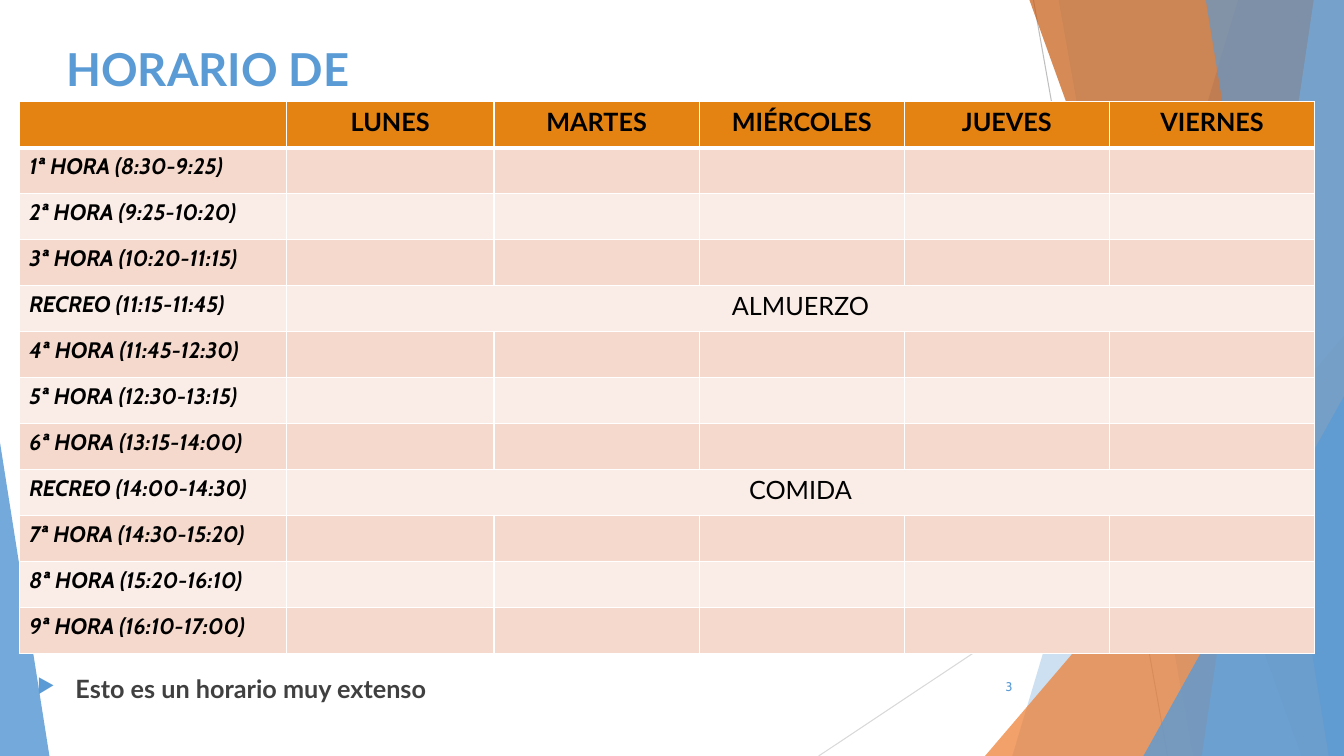
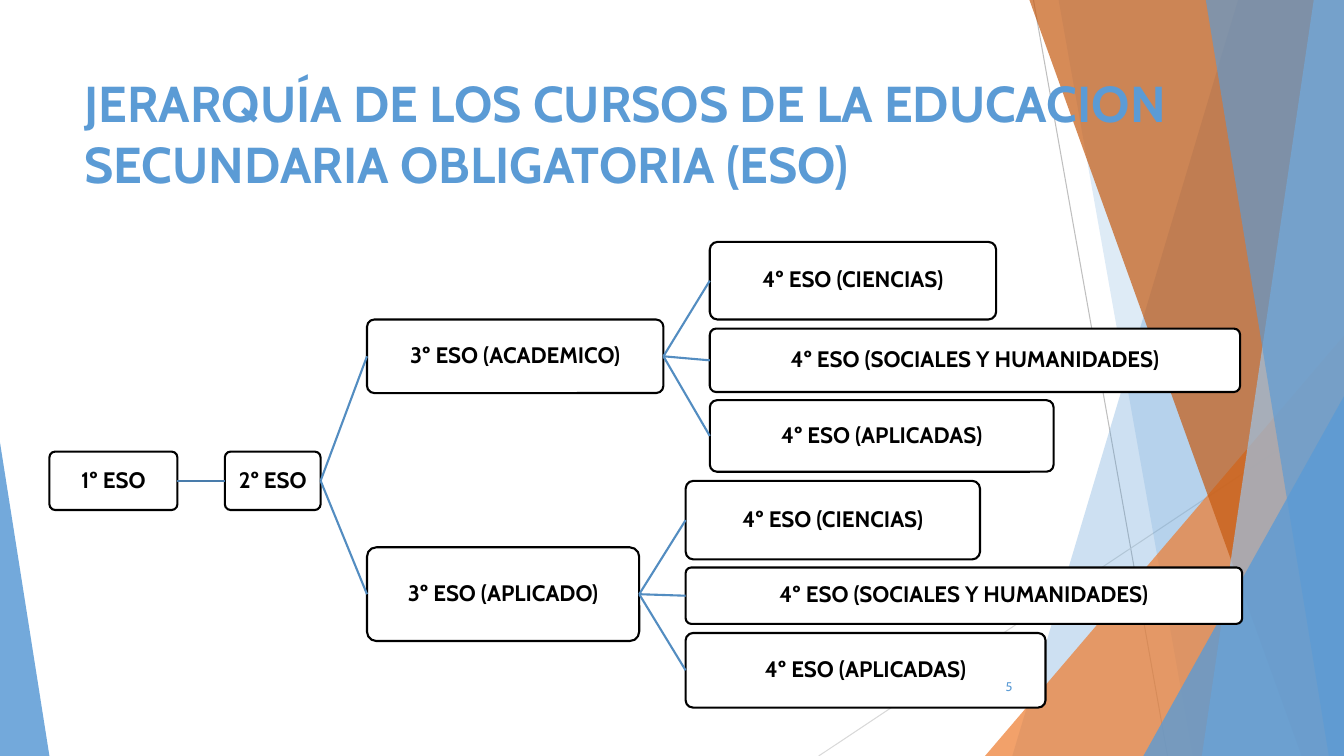
from lxml import etree
from pptx import Presentation, util as u
from pptx.dml.color import RGBColor
from pptx.enum import shapes, text
from pptx.oxml import ns

COLORS = {
    "blue": "5B9BD5", "pale_blue": "9DC3E6", "orange": "ED7D31", "rust": "C55A11",
    "gray": "BFBFBF", "light_gray": "D9D9D9", "dark_gray": "404040",
    "black": "000000", "white": "FFFFFF",
    "header": "E48312", "band_dark": "F5D9CC", "band_light": "FAEDE7",
    "root_link": "497CAB", "link": "538DC1",
}

STYLES = {
    "title_lato": ({"name": "Lato", "size": u.Pt(32.4), "bold": True}, "blue"),
    "title_cabin": ({"name": "Cabin", "size": u.Pt(36), "bold": True}, "blue"),
    "day": ({"name": "Lato", "size": u.Pt(18), "bold": True}, "black"),
    "hour": ({"name": "Cabin", "size": u.Pt(16), "bold": True, "italic": True}, "black"),
    "meal": ({"name": "Lato", "size": u.Pt(18), "bold": False}, "black"),
    "bullet": ({"name": "Lato", "size": u.Pt(18), "bold": True}, "dark_gray"),
    "course": ({"name": "Cabin", "size": u.Pt(16), "bold": True}, "black"),
    "number": ({"name": "Cabin", "size": u.Pt(9), "bold": False}, "blue"),
}

WIDTH, HEIGHT = 13.33, 7.5
THIN_LINES = [
    ((10.25, 0), (11.58, HEIGHT), "gray"),
    ((WIDTH, 4.03), (8.12, HEIGHT), "light_gray"),
]
BANDS = [
    ("edge", (12.28, 10.04), "blue", 30),
    ("edge", (10.5, 11.83), "blue", 20),
    ("triangle", (9.77, 3.33, 3.56, 4.17, 1), "orange", 72),
    ("edge", (10.21, 12.91), "rust", 70),
    ("edge", (13.03, 11.92), "pale_blue", 70),
    ("edge", (11.96, 13.18), "blue", 65),
    ("triangle", (11.34, 3.93, 1.99, 3.57, 1), "blue", 80),
    ("triangle", (0, 4.39, 0.49, 3.11, 0), "blue", 85),
]

DAYS = ["LUNES", "MARTES", "MIÉRCOLES", "JUEVES", "VIERNES"]
HOURS = [
    ("1ª HORA (8:30-9:25)", ""),
    ("2ª HORA (9:25-10:20)", ""),
    ("3ª HORA (10:20-11:15)", ""),
    ("RECREO (11:15-11:45)", "ALMUERZO"),
    ("4ª HORA (11:45-12:30)", ""),
    ("5ª HORA (12:30-13:15)", ""),
    ("6ª HORA (13:15-14:00)", ""),
    ("RECREO (14:00-14:30)", "COMIDA"),
    ("7ª HORA (14:30-15:20)", ""),
    ("8ª HORA (15:20-16:10)", ""),
    ("9ª HORA (16:10-17:00)", ""),
]
COLUMN_WIDTHS = [2.65, 2.06] + [2.035] * 4
ROW_HEIGHT = 5.48 / 12

SCIENCE, SOCIAL, APPLIED = (
    "4º ESO (CIENCIAS)", "4º ESO (SOCIALES Y HUMANIDADES)", "4º ESO (APLICADAS)")
COURSES = ("1º ESO", (0.49, 4.48, 1.27, 0.58), [
    ("2º ESO", (2.23, 4.48, 0.95, 0.58), [
        ("3º ESO (ACADEMICO)", (3.64, 3.17, 2.94, 0.73), [
            (SCIENCE, (7.04, 2.4, 2.84, 0.77), []),
            (SOCIAL, (7.04, 3.26, 5.26, 0.63), []),
            (APPLIED, (7.04, 3.97, 3.41, 0.71), []),
        ]),
        ("3º ESO (APLICADO)", (3.64, 5.43, 2.7, 0.93), [
            (SCIENCE, (6.8, 4.77, 2.92, 0.78), []),
            (SOCIAL, (6.8, 5.63, 5.52, 0.56), []),
            (APPLIED, (6.8, 6.28, 3.57, 0.74), []),
        ]),
    ]),
])


def rgb(color):
    return RGBColor.from_string(COLORS[color])


def inches(values):
    return [u.Inches(value) for value in values]


def add_tag(parent, tag, **attributes):
    return etree.SubElement(parent, ns.qn(tag), attributes)


def write(frame, words, style, align=text.PP_ALIGN.LEFT):
    para = frame.paragraphs[0]
    para.alignment = align
    span = para.add_run()
    span.text = words
    formats, color = STYLES[style]
    for name, value in formats.items():
        setattr(span.font, name, value)
    span.font.color.rgb = rgb(color)
    return para


def add_text(page, place, words, style, align=text.PP_ALIGN.LEFT,
             anchor=text.MSO_ANCHOR.TOP):
    frame = page.shapes.add_textbox(*inches(place)).text_frame
    frame.word_wrap = True
    frame.vertical_anchor = anchor
    return write(frame, words, style, align)


def add_line(page, start, end, color, width):
    line = page.shapes.add_connector(
        shapes.MSO_CONNECTOR.STRAIGHT, *inches(start + end))
    line.line.color.rgb = rgb(color)
    line.line.width = u.Pt(width)
    add_tag(line._element.spPr, "a:effectLst")
    return line


def add_band(page, kind, geometry, color, opacity):
    if kind == "edge":
        top, bottom = geometry
        corners = [inches(corner) for corner in (
            (top, 0), (WIDTH, 0), (WIDTH, HEIGHT), (bottom, HEIGHT))]
        builder = page.shapes.build_freeform(*corners[0])
        builder.add_line_segments(corners[1:], close=True)
        band = builder.convert_to_shape()
    else:
        *place, apex = geometry
        band = page.shapes.add_shape(
            shapes.MSO_SHAPE.ISOSCELES_TRIANGLE, *inches(place))
        band.adjustments[0] = apex
    band.shadow.inherit = False
    band.line.fill.background()
    band.fill.solid()
    band.fill.fore_color.rgb = rgb(color)
    tint = band._element.spPr.find(".//" + ns.qn("a:srgbClr"))
    add_tag(tint, "a:alpha", val=str(opacity * 1000))


def add_page(deck, title, place, style):
    page = deck.slides.add_slide(deck.slide_layouts[6])
    for start, end, color in THIN_LINES:
        add_line(page, start, end, color, 0.75)
    for band in BANDS:
        add_band(page, *band)
    add_text(page, place, title, style)
    return page


def add_number(page, number):
    add_text(page, (9.39, 6.61, 0.75, 0.4), number, "number",
             text.PP_ALIGN.RIGHT, text.MSO_ANCHOR.MIDDLE)


def paint_cell(cell, row):
    properties = cell._tc.get_or_add_tcPr()
    widths = {"L": 1, "R": 1, "T": 3 if row == 1 else 1, "B": 3 if row == 0 else 1}
    for side, width in widths.items():
        border = add_tag(properties, "a:ln" + side, w=str(u.Pt(width)))
        fill = add_tag(border, "a:solidFill")
        add_tag(fill, "a:srgbClr", val=COLORS["white"])
    cell.fill.solid()
    band = "band_dark" if row % 2 else "band_light"
    cell.fill.fore_color.rgb = rgb(band if row else "header")


def add_timetable(page):
    rows = len(HOURS) + 1
    table = page.shapes.add_table(
        rows, len(COLUMN_WIDTHS),
        *inches((0.19, 1.01, sum(COLUMN_WIDTHS), ROW_HEIGHT * rows))).table
    for column, width in zip(table.columns, COLUMN_WIDTHS):
        column.width = u.Inches(width)
    for index, row in enumerate(table.rows):
        row.height = u.Inches(ROW_HEIGHT)
        for cell in row.cells:
            paint_cell(cell, index)
    for index, day in enumerate(DAYS, 1):
        write(table.cell(0, index).text_frame, day, "day", text.PP_ALIGN.CENTER)
    for index, (hour, meal) in enumerate(HOURS, 1):
        write(table.cell(index, 0).text_frame, hour, "hour")
        if meal:
            cell = table.cell(index, 1)
            cell.merge(table.cell(index, len(DAYS)))
            write(cell.text_frame, meal, "meal", text.PP_ALIGN.CENTER)


def add_bullet(para):
    properties = para._p.get_or_add_pPr()
    indent = u.Inches(0.38)
    properties.set("marL", str(indent))
    properties.set("indent", str(-indent))
    color = add_tag(properties, "a:buClr")
    add_tag(color, "a:srgbClr", val=COLORS["blue"])
    add_tag(properties, "a:buSzPct", val="80000")
    add_tag(properties, "a:buChar", char="▶")


def add_course(page, course, parent=None, link_color="root_link"):
    words, place, children = course
    box = page.shapes.add_shape(
        shapes.MSO_SHAPE.ROUNDED_RECTANGLE, *inches(place))
    box.adjustments[0] = 0.1
    box.shadow.inherit = False
    box.fill.solid()
    box.fill.fore_color.rgb = rgb("white")
    box.line.color.rgb = rgb("black")
    box.line.width = u.Pt(1.5)
    frame = box.text_frame
    frame.word_wrap = True
    frame.vertical_anchor = text.MSO_ANCHOR.MIDDLE
    for side in ("left", "right", "top", "bottom"):
        setattr(frame, "margin_" + side, u.Inches(0.03))
    write(frame, words, "course", text.PP_ALIGN.CENTER).line_spacing = 0.9
    if parent is not None:
        link = add_line(page, (0, 0), (1, 1), link_color, 1.5)
        link.begin_connect(parent, 3)
        link.end_connect(box, 1)
    for child in children:
        add_course(page, child, box, "link" if parent is not None else "root_link")


def main():
    deck = Presentation()
    deck.slide_width, deck.slide_height = inches((WIDTH, HEIGHT))

    page = add_page(deck, "HORARIO DE", (0.56, 0.36, 4.37, 0.65), "title_lato")
    add_timetable(page)
    add_bullet(add_text(page, (0.27, 6.63, 12.48, 0.41),
                        "Esto es un horario muy extenso", "bullet"))
    add_number(page, "3")

    page = add_page(
        deck, "JERARQUÍA DE LOS CURSOS DE LA EDUCACION SECUNDARIA OBLIGATORIA (ESO)",
        (0.74, 0.67, 11.86, 1.44), "title_cabin")
    add_course(page, COURSES)
    add_number(page, "5")

    deck.save("out.pptx")


if __name__ == "__main__":
    main()
